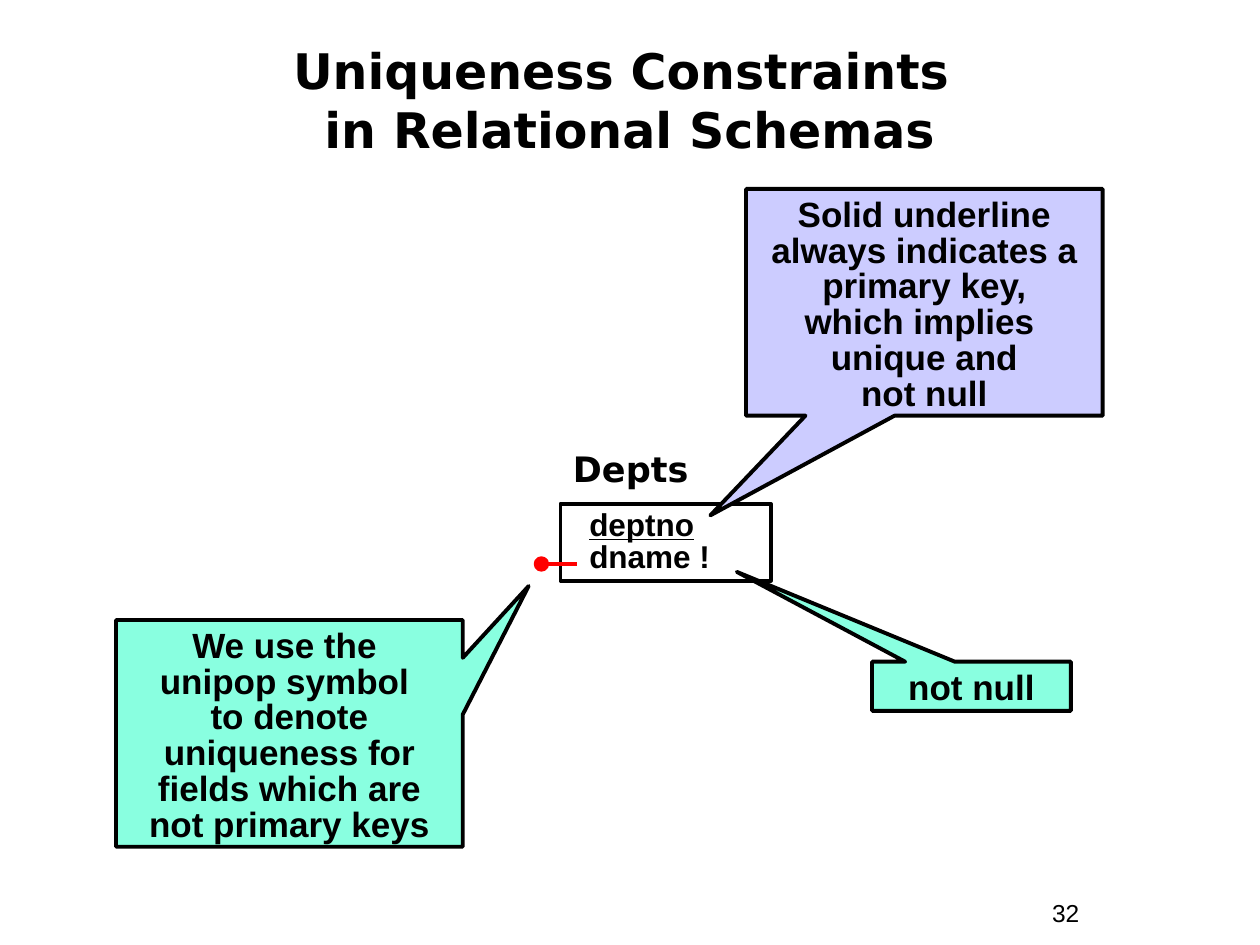
from lxml import etree
from pptx import Presentation
from pptx.dml.color import RGBColor
from pptx.enum.shapes import MSO_CONNECTOR, MSO_SHAPE
from pptx.enum.text import MSO_ANCHOR, PP_ALIGN
from pptx.oxml.ns import qn
from pptx.util import Cm, Pt

RECTANGLE = MSO_SHAPE.RECTANGLE
OVAL = MSO_SHAPE.OVAL
CALLOUT = MSO_SHAPE.RECTANGULAR_CALLOUT
STRAIGHT = MSO_CONNECTOR.STRAIGHT
TOP, MIDDLE = MSO_ANCHOR.TOP, MSO_ANCHOR.MIDDLE
LEFT, CENTER = PP_ALIGN.LEFT, PP_ALIGN.CENTER
BLACK, RED, LILAC, MINT = "000000", "FF0000", "CCCCFF", "89FFE0"
HEADING_FONT, BODY_FONT = "DejaVu Sans", "Arial"
OUTLINE = Pt(2.25)


def color(hex_value):
    return RGBColor.from_string(hex_value)


def add_outlined(shapes, kind, box, fill, line):
    outlined = shapes.add_shape(kind, *map(Cm, box))
    outlined.shadow.inherit = False
    if fill:
        outlined.fill.solid()
        outlined.fill.fore_color.rgb = color(fill)
    else:
        outlined.fill.background()
    outlined.line.color.rgb = color(line)
    outlined.line.width = OUTLINE
    return outlined


def prepare_frame(frame, anchor=TOP, top=0.13):
    frame.word_wrap = True
    frame.vertical_anchor = anchor
    frame.margin_left = frame.margin_right = Cm(0.25)
    frame.margin_top, frame.margin_bottom = Cm(top), Cm(0.13)


def write(paragraph, lines, size, font=BODY_FONT, align=LEFT, spacing=1.0,
          bold=True, underline=False):
    paragraph.alignment = align
    paragraph.line_spacing = spacing
    for index, line in enumerate(lines):
        if index:
            paragraph.add_line_break()
        run = paragraph.add_run()
        run.text = line
        run.font.size = Pt(size)
        run.font.name = font
        run.font.bold = bold
        run.font.underline = underline
        run.font.color.rgb = color(BLACK)


def add_label(slide, box, lines, size, anchor=TOP, **style):
    frame = slide.shapes.add_textbox(*map(Cm, box)).text_frame
    prepare_frame(frame, anchor)
    write(frame.paragraphs[0], lines, size, **style)


def add_unipop(slide, left, middle):
    unipop = slide.shapes.add_group_shape().shapes
    diameter = 0.23
    add_outlined(unipop, OVAL,
                 (left, middle - diameter / 2, diameter, diameter), RED, RED)
    stem = unipop.add_connector(STRAIGHT, Cm(left + 0.2), Cm(middle),
                                Cm(left + 0.84), Cm(middle))
    stem.line.color.rgb = color(RED)
    stem.line.width = OUTLINE
    etree.SubElement(stem._element.spPr, qn("a:effectLst"))


def add_depts_table(slide, box):
    left, top, width, height = box
    heading_height = 1.27
    add_label(slide, (left, top, width, 1.12), ["Depts"], 20,
              font=HEADING_FONT)
    fields_box = (left, top + heading_height, 4.24, height - heading_height)
    fields = add_outlined(slide.shapes, RECTANGLE, fields_box, None, BLACK)
    frame = fields.text_frame
    prepare_frame(frame)
    for index, (name, is_key) in enumerate([("deptno", True), ("dname !", False)]):
        field = frame.add_paragraph() if index else frame.paragraphs[0]
        field._p.get_or_add_pPr().set("marL", str(Cm(0.33)))
        write(field, [name], 18, spacing=0.85, underline=is_key)
    add_unipop(slide, left - 0.5, top + 2.48)


def add_callout(slide, box, pointer, fill, lines):
    callout = add_outlined(slide.shapes, CALLOUT, box, fill, BLACK)
    for index, offset in enumerate(pointer):
        callout.adjustments[index] = offset
    prepare_frame(callout.text_frame, top=0.2)
    write(callout.text_frame.paragraphs[0], lines, 20, align=CENTER,
          spacing=0.85)


def main():
    deck = Presentation()
    deck.slide_width, deck.slide_height = Cm(25.4), Cm(19.05)
    slide = deck.slides.add_slide(deck.slide_layouts[6])

    add_label(slide, (20.96, 17.98, 2.34, 0.86), ["32"], 14, bold=False)
    add_label(slide, (0.84, 0.84, 23.7, 2.34),
              ["Uniqueness Constraints ", "in Relational Schemas"], 28,
              anchor=MIDDLE, font=HEADING_FONT, align=CENTER)
    add_depts_table(slide, (11.3, 8.89, 5.46, 2.82))
    add_callout(slide, (15.04, 3.81, 7.19, 4.57), (-0.6, 0.94), LILAC,
                ["Solid underline", "always indicates a primary key,",
                 "which implies ", "unique and", "not null"])
    add_callout(slide, (2.34, 12.5, 6.99, 4.57), (0.69, -0.65), MINT,
                ["We use the ", "unipop symbol ",
                 "to denote uniqueness for fields which are not primary keys"])
    add_callout(slide, (17.58, 13.34, 4.01, 0.99), (-1.18, -2.33), MINT,
                ["not null"])
    deck.save("out.pptx")


if __name__ == "__main__":
    main()
